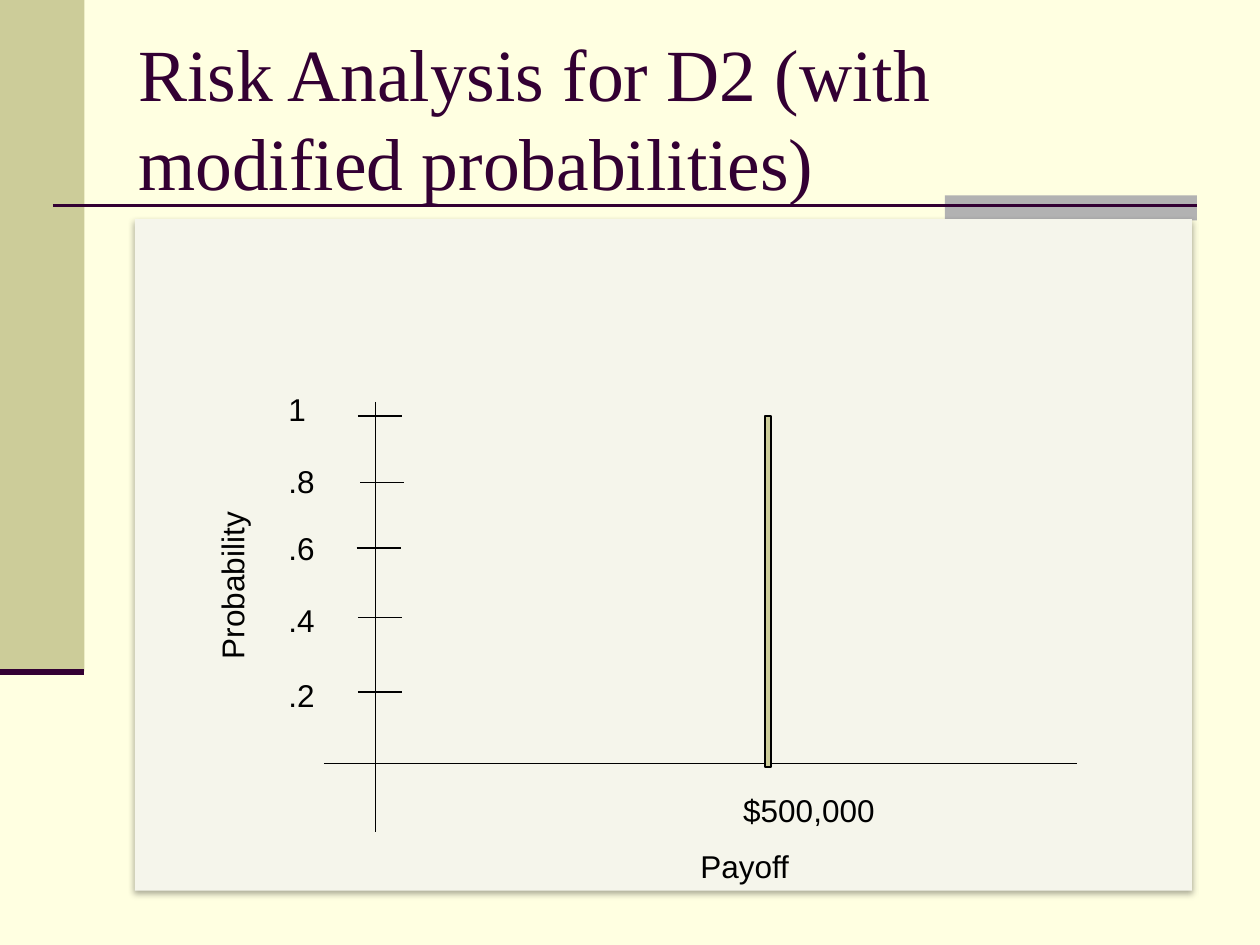
from typing import NamedTuple, Optional

from lxml import etree
from pptx import Presentation
from pptx.dml.color import RGBColor
from pptx.enum.shapes import MSO_CONNECTOR, MSO_SHAPE
from pptx.enum.text import MSO_ANCHOR
from pptx.oxml.ns import qn
from pptx.util import Inches, Pt

RECT = MSO_SHAPE.RECTANGLE
STRAIGHT = MSO_CONNECTOR.STRAIGHT
MIDDLE, TOP = MSO_ANCHOR.MIDDLE, MSO_ANCHOR.TOP

WIDTH, HEIGHT = Inches(10), Inches(7.5)
COL, ROW = WIDTH / 100, HEIGHT / 75  # square grid cells

CREAM, OLIVE, GRAY = "FFFFE1", "CCCC99", "B2B2B2"
PLUM, PANEL, BLACK = "330033", "F5F5EB", "000000"


class Box(NamedTuple):
    """Left, top, width and height in grid cells."""
    col: float
    row: float
    cols: float
    rows: float

    def emu(self) -> list[int]:
        return [round(v * unit) for v, unit in zip(self, (COL, ROW, COL, ROW))]


class Tick(NamedTuple):
    label: str
    label_row: float
    row: float
    col: float


TICKS = [
    Tick("1", 30.5, 33, 28.4),
    Tick(".8", 36.2, 38.3, 28.6),
    Tick(".6", 41.5, 43.5, 28.3),
    Tick(".4", 47.2, 49, 28.4),
    Tick(".2", 53.2, 54.9, 28.4),
]
TICK_COLS = 3.5
AXIS_COL, AXIS_ROW, AXIS_TOP = 29.8, 60.6, 31.9


def rgb(color: str) -> RGBColor:
    return RGBColor.from_string(color)


def add_rect(s, box: Box, fill: str, line: Optional[str] = None):
    shape = s.shapes.add_shape(RECT, *box.emu())
    shape.shadow.inherit = False
    shape.fill.solid()
    shape.fill.fore_color.rgb = rgb(fill)
    if line:
        shape.line.color.rgb = rgb(line)
        shape.line.width = Pt(1)
    else:
        shape.line.fill.background()
    return shape


def add_soft_shadow(shape) -> None:
    effects = shape._element.spPr.find(qn("a:effectLst"))
    shadow = etree.SubElement(effects, qn("a:outerShdw"), blurRad=str(Pt(3.5)),
                              dist=str(Pt(2.2)), dir="5400000", rotWithShape="0")
    color = etree.SubElement(shadow, qn("a:srgbClr"), val=BLACK)
    etree.SubElement(color, qn("a:alpha"), val="32000")


def add_line(s, x1: float, y1: float, x2: float, y2: float,
             color: str = BLACK, width: float = 1) -> None:
    line = s.shapes.add_connector(STRAIGHT, round(x1 * COL), round(y1 * ROW),
                                  round(x2 * COL), round(y2 * ROW))
    line.line.color.rgb = rgb(color)
    line.line.width = Pt(width)
    etree.SubElement(line._element.spPr, qn("a:effectLst"))


def add_text(s, box: Box, text: str, size: float = 18, font: str = "Arial",
             color: str = BLACK, anchor=TOP, vertical: bool = False) -> None:
    tf = s.shapes.add_textbox(*box.emu()).text_frame
    tf.word_wrap = True
    tf.vertical_anchor = anchor
    if vertical:
        tf._txBody.bodyPr.set("vert", "vert270")
    tf.text = text
    for r in tf.paragraphs[0].runs:
        r.font.size = Pt(size)
        r.font.name = font
        r.font.color.rgb = rgb(color)


def add_theme_decoration(s) -> None:
    add_rect(s, Box(0, 0, 6.7, 53.3), OLIVE)
    add_rect(s, Box(75, 15.5, 20, 2), GRAY)
    add_line(s, 4.2, 16.3, 95, 16.3, PLUM, 1.5)
    add_line(s, 0, 53.3, 6.7, 53.3, PLUM, 3.5)


def add_risk_graph(s) -> None:
    add_soft_shadow(add_rect(s, Box(10.7, 17.4, 83.9, 53.3), PANEL))
    add_line(s, AXIS_COL, TICKS[0].row, AXIS_COL, AXIS_TOP)
    add_line(s, AXIS_COL, AXIS_TOP, AXIS_COL, 66)
    add_line(s, 25.7, AXIS_ROW, 85.5, AXIS_ROW)
    add_text(s, Box(16.4, 38.3, 5, 15), "Probability", vertical=True)
    add_text(s, Box(54.6, 66.7, 12.3, 4), "Payoff")
    for tick in TICKS:
        add_line(s, tick.col, tick.row, tick.col + TICK_COLS, tick.row)
        add_text(s, Box(21.9, tick.label_row, 5.3, 4), tick.label)
    add_text(s, Box(58, 62.3, 15.8, 4), "$500,000")
    add_rect(s, Box(60.7, TICKS[0].row, 0.5, 27.9), OLIVE, BLACK)


def main() -> None:
    prs = Presentation()
    prs.slide_width, prs.slide_height = WIDTH, HEIGHT
    s = prs.slides.add_slide(prs.slide_layouts[6])
    s.background.fill.solid()
    s.background.fill.fore_color.rgb = rgb(CREAM)
    add_theme_decoration(s)
    add_text(s, Box(10, 3, 85, 12.5),
             "Risk Analysis for D2 (with \vmodified probabilities)",
             42, "Times New Roman", PLUM, MIDDLE)
    add_risk_graph(s)
    prs.save("out.pptx")


if __name__ == "__main__":
    main()
